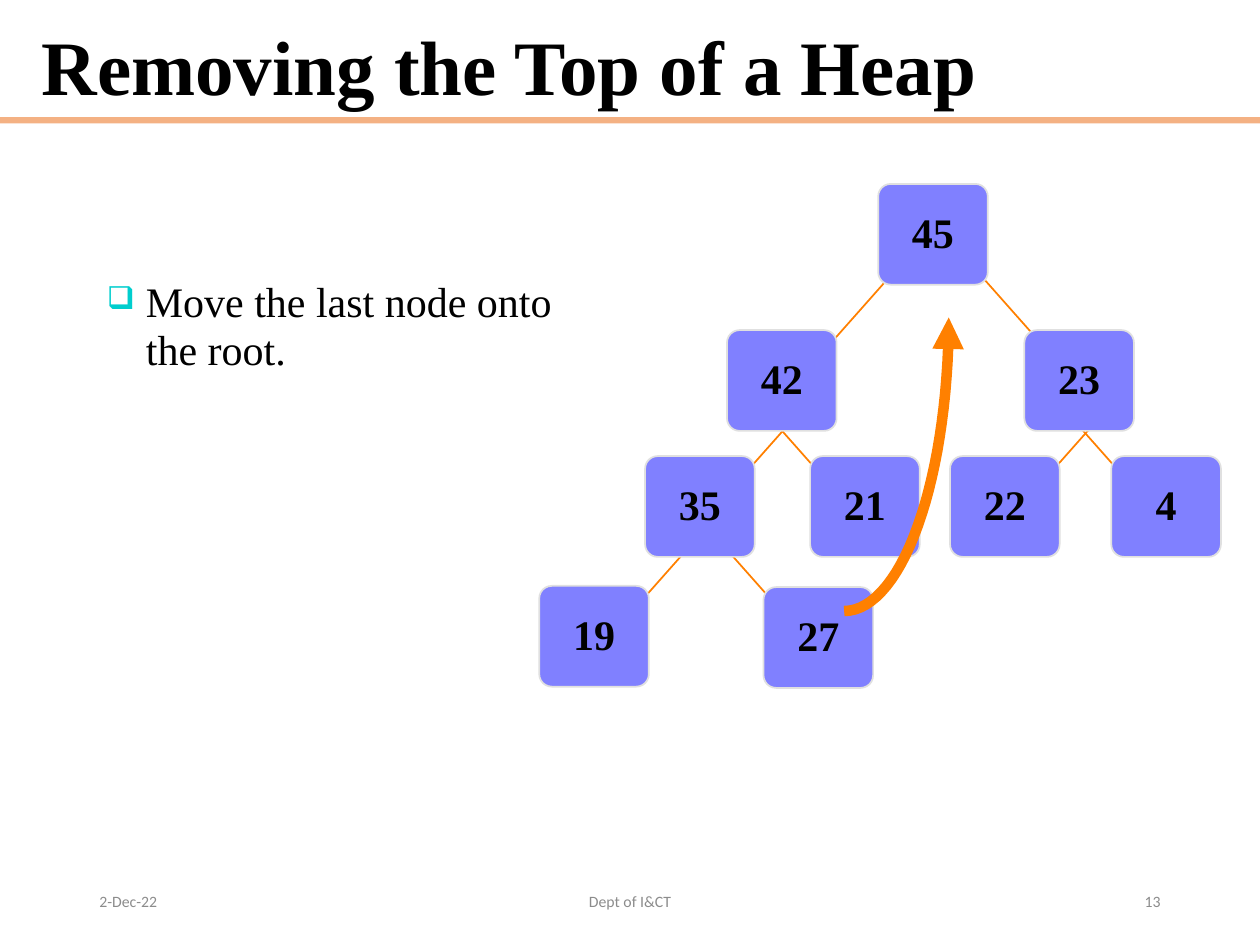
from dataclasses import dataclass
from math import cos, pi, sin

from lxml import etree
from pptx import Presentation
from pptx.dml.color import RGBColor
from pptx.enum.shapes import MSO_CONNECTOR, MSO_SHAPE
from pptx.enum.text import MSO_ANCHOR, MSO_AUTO_SIZE, PP_ALIGN
from pptx.oxml.ns import qn
from pptx.util import Inches, Pt

LEFT, CENTER, RIGHT = PP_ALIGN.LEFT, PP_ALIGN.CENTER, PP_ALIGN.RIGHT
TOP, MIDDLE = MSO_ANCHOR.TOP, MSO_ANCHOR.MIDDLE
NO_AUTOFIT = MSO_AUTO_SIZE.NONE
RECTANGLE, ROUNDED = MSO_SHAPE.RECTANGLE, MSO_SHAPE.ROUNDED_RECTANGLE
STRAIGHT = MSO_CONNECTOR.STRAIGHT

COLORS = {
    "rule": "F4B183",
    "text": "000000",
    "bullet": "00CECE",
    "node": "8080FF",
    "node_border": "E0E0E0",
    "link": "FF8000",
    "footer": "8C8C8C",
}
SERIF, SANS = "Times New Roman", "Calibri"
NODE_WIDTH, NODE_HEIGHT = 0.87, 0.8
EDGE_RUN, EDGE_DROP = 0.62, 0.7


@dataclass
class Node:
    value: int
    left: float
    top: float


@dataclass
class Edge:
    """A link that goes down from a parent; side is -1 for left, 1 for right."""
    x: float
    y: float
    side: int


@dataclass
class Footer:
    text: str
    left: float
    width: float
    alignment: PP_ALIGN


NODES = [
    Node(45, 6.97, 1.46),
    Node(42, 5.77, 2.62), Node(23, 8.13, 2.62),
    Node(35, 5.12, 3.62), Node(21, 6.43, 3.62),
    Node(22, 7.54, 3.62), Node(4, 8.82, 3.62),
    Node(19, 4.28, 4.65), Node(27, 6.06, 4.66),
]
EDGES = [
    Edge(7.04, 2.22, -1), Edge(7.77, 2.17, 1),
    Edge(6.39, 3.22, -1), Edge(6.03, 3.22, 1),
    Edge(8.81, 3.22, -1), Edge(8.42, 3.22, 1),
    Edge(5.55, 4.25, -1), Edge(5.67, 4.25, 1),
]
FOOTERS = [
    Footer("2-Dec-22", 0.69, 2.25, LEFT),
    Footer("Dept of I&CT", 3.31, 3.38, CENTER),
    Footer("13", 7.06, 2.25, RIGHT),
]


def rgb(name: str) -> RGBColor:
    return RGBColor.from_string(COLORS[name])


def write_text(shape, text: str, *, size: float, color: str = "text",
               font: str = SERIF, bold: bool = False, alignment=LEFT,
               anchor=MIDDLE, spacing: float = 0.95, bullet: str = "") -> None:
    frame = shape.text_frame
    frame.word_wrap = True
    frame.auto_size = NO_AUTOFIT
    frame.vertical_anchor = anchor
    paragraph = frame.paragraphs[0]
    if bullet:
        add_bullet(paragraph, bullet)
    paragraph.alignment = alignment
    paragraph.line_spacing = spacing
    run = paragraph.add_run()
    run.text = text
    run.font.name = font
    run.font.size = Pt(size)
    run.font.bold = bold
    run.font.color.rgb = rgb(color)


def add_bullet(paragraph, character: str) -> None:
    properties = paragraph._p.get_or_add_pPr()
    properties.set("marL", str(Inches(0.31)))
    properties.set("indent", str(-Inches(0.31)))
    bullet_color = etree.SubElement(properties, qn("a:buClr"))
    etree.SubElement(bullet_color, qn("a:srgbClr"), val=COLORS["bullet"])
    etree.SubElement(properties, qn("a:buSzPct"), val="75000")
    etree.SubElement(properties, qn("a:buChar"), char=character)


def add_text_box(slide, left: float, top: float, width: float, height: float,
                 text: str, **text_format) -> None:
    box = slide.shapes.add_textbox(
        Inches(left), Inches(top), Inches(width), Inches(height))
    write_text(box, text, **text_format)


def draw_title(slide) -> None:
    rule = slide.shapes.add_shape(
        RECTANGLE, 0, Inches(0.93), Inches(10), Inches(0.05))
    rule.shadow.inherit = False
    rule.fill.solid()
    rule.fill.fore_color.rgb = rgb("rule")
    rule.line.fill.background()

    title = slide.shapes.title
    title.left, title.top = Inches(0.23), Inches(0.14)
    title.width, title.height = Inches(8.5), Inches(0.82)
    write_text(title, "Removing the Top of a Heap", size=44, bold=True)


def draw_edge(slide, edge: Edge) -> None:
    connector = slide.shapes.add_connector(
        STRAIGHT, Inches(edge.x), Inches(edge.y),
        Inches(edge.x + edge.side * EDGE_RUN), Inches(edge.y + EDGE_DROP))
    connector.line.color.rgb = rgb("link")
    connector.line.width = Pt(1)
    etree.SubElement(connector._element.spPr, qn("a:effectLst"))


def draw_node(slide, node: Node) -> None:
    shape = slide.shapes.add_shape(
        ROUNDED, Inches(node.left), Inches(node.top),
        Inches(NODE_WIDTH), Inches(NODE_HEIGHT))
    shape.adjustments[0] = 0.125
    shape.shadow.inherit = False
    shape.fill.solid()
    shape.fill.fore_color.rgb = rgb("node")
    shape.line.color.rgb = rgb("node_border")
    shape.line.width = Pt(1)
    write_text(shape, str(node.value), size=24, bold=True, alignment=CENTER)


def draw_move_arrow(slide) -> None:
    """Draw a quarter ellipse from the last node up to the root."""
    left, top, width, height, steps = 6.7, 2.52, 0.83, 2.33, 30
    angles = [step * pi / 2 / steps for step in range(steps + 1)]
    points = [(Inches(left + width * sin(angle)),
               Inches(top + height * cos(angle))) for angle in angles]
    builder = slide.shapes.build_freeform(*points[0])
    builder.add_line_segments(points[1:], close=False)
    arrow = builder.convert_to_shape()
    arrow.shadow.inherit = False
    arrow.fill.background()
    arrow.line.color.rgb = rgb("link")
    arrow.line.width = Pt(6)
    outline = arrow._element.spPr.find(qn("a:ln"))
    etree.SubElement(outline, qn("a:tailEnd"), type="triangle")


def main() -> None:
    presentation = Presentation()
    presentation.slide_width, presentation.slide_height = Inches(10), Inches(7.5)
    slide = presentation.slides.add_slide(presentation.slide_layouts[5])

    draw_title(slide)
    add_text_box(slide, 0.75, 2.17, 3.9, 4.07, "Move the last node onto the root.",
                 size=24, anchor=TOP, bullet="❑")
    for edge in EDGES:
        draw_edge(slide, edge)
    for node in NODES:
        draw_node(slide, node)
    draw_move_arrow(slide)
    for footer in FOOTERS:
        add_text_box(slide, footer.left, 6.95, footer.width, 0.4, footer.text,
                     size=9, color="footer", font=SANS,
                     alignment=footer.alignment, spacing=1.0)
    presentation.save("out.pptx")


if __name__ == "__main__":
    main()
